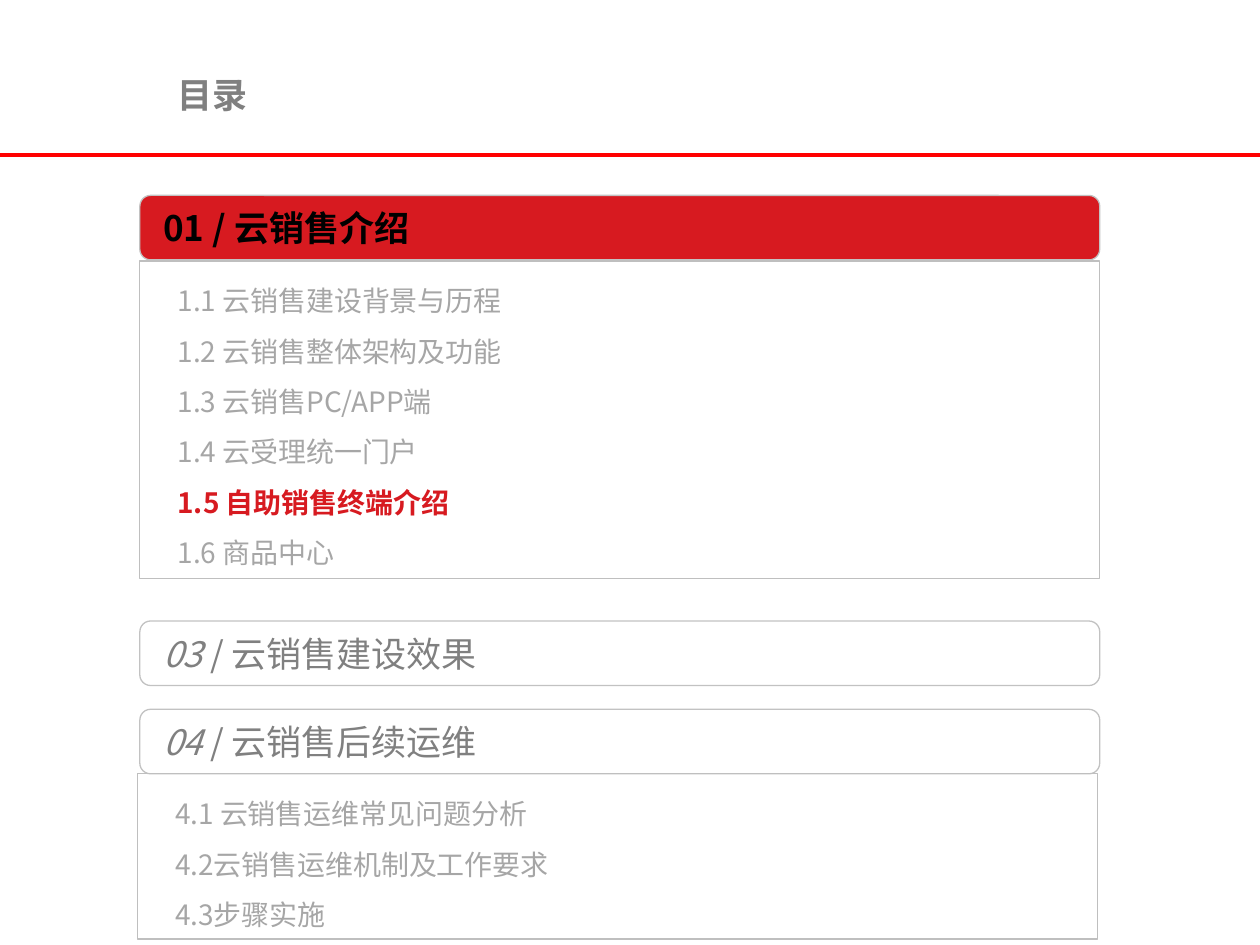
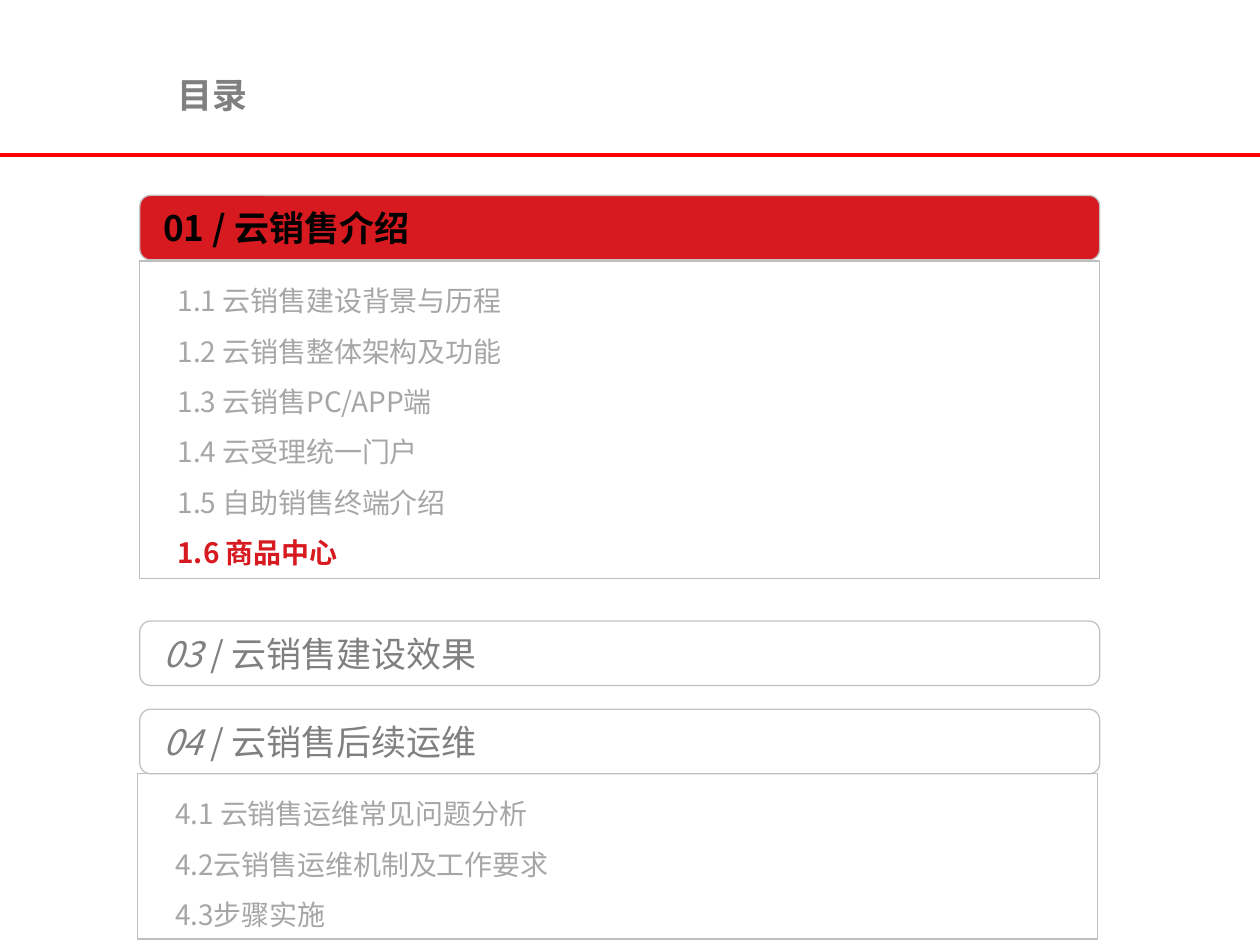
from pptx import Presentation
from pptx.dml.color import RGBColor as Rgb
from pptx.enum.shapes import MSO_CONNECTOR as Conn, MSO_SHAPE as Shape
from pptx.enum.text import MSO_ANCHOR as Anchor, MSO_AUTO_SIZE as Fit, PP_ALIGN as Align
from pptx.oxml.ns import qn
from pptx.util import Cm, Pt
from lxml.etree import SubElement

# Content
TITLE = "目录"
PARTS = [
    dict(num="01", name="云销售介绍", top=3.94, active=True,
         list=dict(left=2.82, top=5.26, high=6.4, items=[
             "1.1 云销售建设背景与历程",
             "1.2 云销售整体架构及功能",
             "1.3 云销售PC/APP端",
             "1.4 云受理统一门户",
             "1.5 自助销售终端介绍",
             "1.6 商品中心"])),
    dict(num="03", name="云销售建设效果", top=12.52),
    dict(num="04", name="云销售后续运维", top=14.3,
         list=dict(left=2.77, top=15.6, high=3.33, items=[
             "4.1 云销售运维常见问题分析",
             "4.2云销售运维机制及工作要求",
             "4.3步骤实施"])),
]
MARKS = ["1.5", "1.6"]  # the entry lit on each slide

# Shared style
FONT = "Noto Sans CJK SC"
HUES = dict(rule="FF0000", red="D71A20", black="000000", white="FFFFFF",
            head="808080", item="A6A6A6", edge="C2C2C2", frame="BFBFBF")
WIDE, TALL = 25.4, 19.05
LEFT, SPAN, BAR = 2.82, 19.35, 1.3
RULE = 3.12


def hue(name):
    return Rgb.from_string(HUES[name])


def add_run(para, text, size, color, bold=False, slant=False):
    run = para.add_run()
    run.text = text
    font = run.font
    font.size, font.name = Pt(size), FONT
    font.bold, font.italic = bold, slant
    font.color.rgb = hue(color)
    SubElement(run._r.get_or_add_rPr(), qn("a:ea"), typeface=FONT)


def add_box(slide, kind, left, top, high, fill, line):
    box = slide.shapes.add_shape(kind, Cm(left), Cm(top), Cm(SPAN), Cm(high))
    box.shadow.inherit = False
    if fill:
        box.fill.solid()
        box.fill.fore_color.rgb = hue(fill)
    else:
        box.fill.background()
    box.line.color.rgb = hue(line)
    box.line.width = Pt(0.75)
    box.text_frame.word_wrap = True
    return box


def add_head(slide):
    line = slide.shapes.add_connector(
        Conn.STRAIGHT, 0, Cm(RULE), Cm(WIDE), Cm(RULE))
    line.line.color.rgb = hue("rule")
    line.line.width = Pt(2)
    SubElement(line._element.spPr, qn("a:effectLst"))
    box = slide.shapes.add_textbox(Cm(3.33), Cm(1.12), Cm(16.56), Cm(1.57))
    frame = box.text_frame
    frame.word_wrap = True
    frame.vertical_anchor = Anchor.MIDDLE
    add_run(frame.paragraphs[0], TITLE, 20, "head", bold=True)


def add_bar(slide, num, name, top, active=False):
    box = add_box(slide, Shape.ROUNDED_RECTANGLE, LEFT, top, BAR,
                  "red" if active else "white", "edge")
    frame = box.text_frame
    frame.margin_left = Cm(0.41)
    frame.vertical_anchor = Anchor.MIDDLE
    para = frame.paragraphs[0]
    para.alignment = Align.LEFT
    color = "black" if active else "head"
    add_run(para, f"{num} ", 20, color, active, not active)
    add_run(para, f"/ {name}", 20, color, active)


def add_list(slide, left, top, high, items, mark):
    box = add_box(slide, Shape.RECTANGLE, left, top, high, None, "frame")
    frame = box.text_frame
    frame.vertical_anchor = Anchor.TOP
    frame.auto_size = Fit.SHAPE_TO_FIT_TEXT
    for i, item in enumerate(items):
        para = frame.add_paragraph() if i else frame.paragraphs[0]
        para.alignment = Align.LEFT
        para.line_spacing = 1.5
        para._p.get_or_add_pPr().set("marL", str(Cm(0.51)))
        lit = item.startswith(mark)
        add_run(para, item, 16, "red" if lit else "item", lit)


def main():
    deck = Presentation()
    deck.slide_width, deck.slide_height = Cm(WIDE), Cm(TALL)
    for mark in MARKS:
        slide = deck.slides.add_slide(deck.slide_layouts[6])
        add_head(slide)
        for part in PARTS:
            add_bar(slide, part["num"], part["name"], part["top"],
                    part.get("active", False))
            if "list" in part:
                add_list(slide, **part["list"], mark=mark)
    deck.save("out.pptx")


if __name__ == "__main__":
    main()
